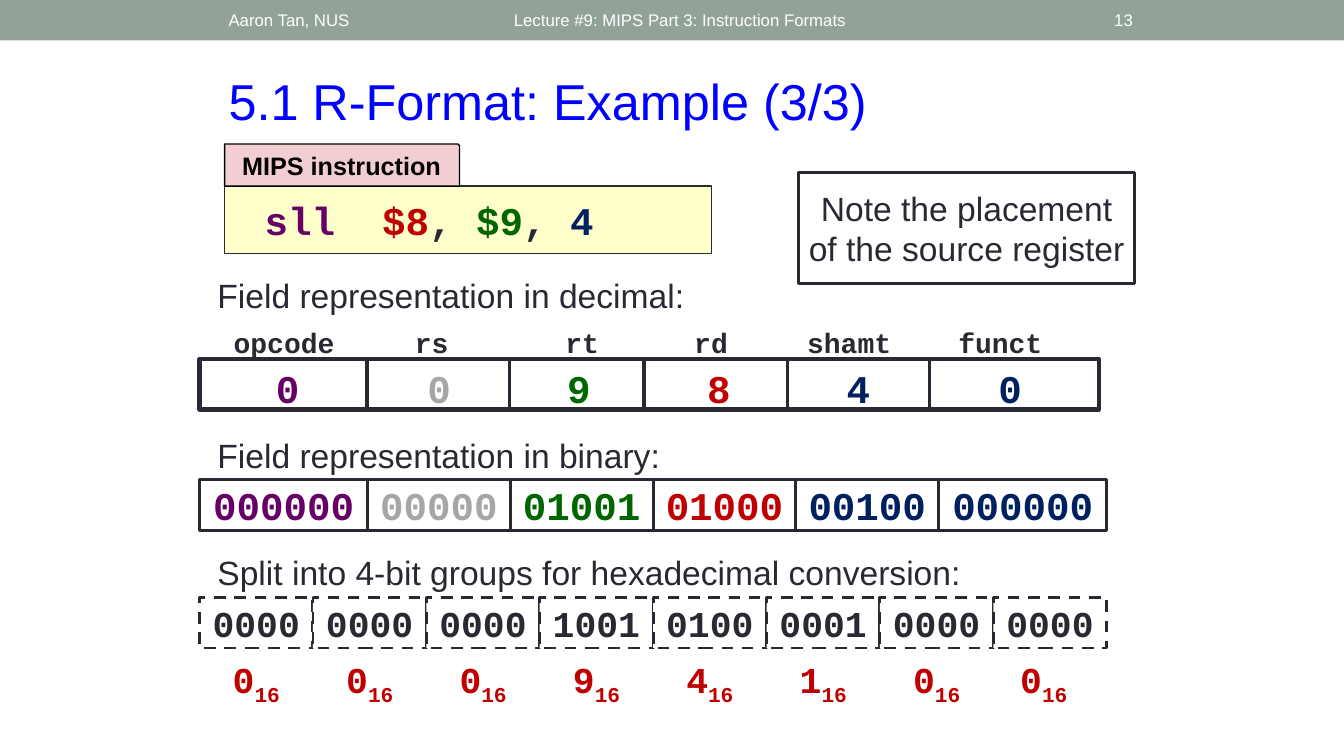
from itertools import accumulate

from lxml import etree
from pptx import Presentation
from pptx.dml.color import RGBColor
from pptx.enum.dml import MSO_LINE
from pptx.enum.shapes import MSO_CONNECTOR, MSO_SHAPE
from pptx.enum.text import MSO_ANCHOR, PP_ALIGN
from pptx.oxml.ns import qn
from pptx.util import Cm, Pt

INK, WHITE, RED = "292934", "FFFFFF", "C00000"
PURPLE, GREY, GREEN, NAVY = "660066", "A6A6A6", "006600", "002060"
FIELD_COLORS = [PURPLE, GREY, GREEN, RED, NAVY, NAVY]
SANS, MONO = "Arial", "Courier New"
LEFT, ROW_WIDTH, ROW_HEIGHT = 5.03, 22.86, 1.27


def color(value):
    """Turn a hex string into a colour."""
    return RGBColor.from_string(value)


def write(shape, spans, size, font=SANS, bold=False, align=PP_ALIGN.LEFT,
          anchor=MSO_ANCHOR.TOP, wrap=True):
    """Write (text, colour) spans as one paragraph and return its runs."""
    frame = shape.text_frame
    frame.word_wrap = wrap
    frame.vertical_anchor = anchor
    para = frame.paragraphs[0]
    para.alignment = align
    for text, ink in spans:
        span = para.add_run()
        span.text = text
        span.font.size, span.font.name, span.font.bold = Pt(size), font, bold
        span.font.color.rgb = color(ink)
    return para.runs


def add_text(page, box, text, size, ink=INK, **style):
    """Add a text box at box, given as left, top, width, height in cm."""
    shape = page.shapes.add_textbox(*map(Cm, box))
    write(shape, [(text, ink)], size, **style)


def add_panel(page, box, fill=None, line=None, weight=2.08, kind=MSO_SHAPE.RECTANGLE):
    """Add a flat shape with optional fill and outline."""
    shape = page.shapes.add_shape(kind, *map(Cm, box))
    shape.shadow.inherit = False
    if fill:
        shape.fill.solid()
        shape.fill.fore_color.rgb = color(fill)
    else:
        shape.fill.background()
    if line:
        shape.line.color.rgb = color(line)
        shape.line.width = Pt(weight)
    else:
        shape.line.fill.background()
    return shape


def add_header(page, box):
    """Draw the top bar with author, lecture and page number."""
    left, top, width, height = box
    add_panel(page, box, "93A299")
    items = [("Aaron Tan, NUS", 5.51, 8.05, PP_ALIGN.LEFT),
             ("Lecture #9: MIPS Part 3: Instruction Formats", 12.7, 15.24, PP_ALIGN.LEFT),
             ("13", 26.39, 2.41, PP_ALIGN.RIGHT)]
    for text, offset, span_width, align in items:
        add_text(page, (left + offset, top + 0.05, span_width, height - 0.1), text, 12,
                 WHITE, align=align, anchor=MSO_ANCHOR.MIDDLE)


def add_instruction(page, box):
    """Draw the tab and the instruction below it."""
    left, top, width, height = box
    tab_height = 1.06
    code = add_panel(page, (left, top + tab_height, width, height - tab_height),
                     "FFFFCC", INK, 1)
    spans = [("  ", PURPLE), ("sll  ", PURPLE), ("$8", RED), (", ", INK),
             ("$9", GREEN), (", ", INK), ("4", NAVY)]
    runs = write(code, spans, 28, MONO, True, anchor=MSO_ANCHOR.MIDDLE)
    runs[0].font.size = Pt(18)
    tab = add_panel(page, (left, top, 5.92, tab_height), "F2CED2", "000000", 1,
                    MSO_SHAPE.SNIP_1_RECTANGLE)
    tab.adjustments[0] = 0.037
    write(tab, [("MIPS instruction", "000000")], 18, bold=True,
          align=PP_ALIGN.CENTER, anchor=MSO_ANCHOR.MIDDLE)


def add_note(page, box):
    """Draw the boxed remark."""
    note = add_panel(page, box, WHITE, INK)
    note.text_frame.margin_left = note.text_frame.margin_right = Cm(0.2)
    write(note, [("Note the placement of the source register", INK)], 24,
          align=PP_ALIGN.CENTER, anchor=MSO_ANCHOR.MIDDLE)


def add_decimal_fields(page, box):
    """Draw the decimal row with field names above it."""
    left, top, width, height = box
    fields = [("opcode", 2.13, "0", 2.22), ("rs", 5.85, "0", 6.04),
              ("rt", 9.64, "9", 9.56), ("rd", 12.89, "8", 13.09),
              ("shamt", 16.37, "4", 16.6), ("funct", 20.18, "0", 20.43)]
    style = dict(font=MONO, bold=True, align=PP_ALIGN.CENTER, wrap=False)
    for (name, name_center, value, value_center), ink in zip(fields, FIELD_COLORS):
        add_text(page, (left + name_center - 2, top - 0.96, 4, 1.09), name, 20, **style)
        add_text(page, (left + value_center - 1, top, 2, 1.45), value, 28, ink, **style)
    add_panel(page, box, line=INK, weight=3)
    for offset in (4.22, 7.82, 11.2, 14.81, 18.39):
        x = Cm(left + offset)
        divider = page.shapes.add_connector(MSO_CONNECTOR.STRAIGHT, x, Cm(top),
                                            x, Cm(top + height))
        divider.line.color.rgb = color(INK)
        divider.line.width = Pt(2.25)
        etree.SubElement(divider.element.spPr, qn("a:effectLst"))


def add_cells(page, box, cells, shares, size, line=INK, dash=None):
    """Draw a row of cells that divide the width by their shares."""
    left, top, width, height = box
    unit = width / sum(shares)
    starts = accumulate(shares, initial=0)
    for spans, start, share in zip(cells, starts, shares):
        cell = add_panel(page, (left + start * unit, top, share * unit, height), WHITE, line)
        if dash:
            cell.line.dash_style = dash
        runs = write(cell, spans, size, MONO, True, PP_ALIGN.CENTER, MSO_ANCHOR.MIDDLE)
        for base in runs[1:]:
            base.font._element.set("baseline", "-25000")


def add_binary_fields(page, box):
    """Draw the six fields in binary."""
    values = ["000000", "00000", "01001", "01000", "00100", "000000"]
    cells = [[pair] for pair in zip(values, FIELD_COLORS)]
    add_cells(page, box, cells, [20, 17, 17, 17, 17, 20], 28)


def add_hex_groups(page, box):
    """Draw the 4-bit groups and their hexadecimal digits below."""
    left, top, width, height = box
    groups = ["0000", "0000", "0000", "1001", "0100", "0001", "0000", "0000"]
    shares = [1] * len(groups)
    add_cells(page, box, [[(group, INK)] for group in groups], shares, 26,
              dash=MSO_LINE.DASH)
    digits = [[(f"{int(group, 2):X}", RED), ("16", RED)] for group in groups]
    digits[-1][1] = ("16 ", RED)
    add_cells(page, (left, top + 1.48, width, height), digits, shares, 26, line=None)


def main():
    """Build the slide and save it."""
    deck = Presentation()
    deck.slide_width, deck.slide_height = Cm(33.87), Cm(19.05)
    page = deck.slides.add_slide(deck.slide_layouts[6])
    add_header(page, (0, 0, 33.87, 1.02))
    add_text(page, (5.51, 1.63, 22.86, 1.8), "5.1 R-Format: Example (3/3)", 36, "0000FF")
    captions = [("Field representation in decimal:", 6.81),
                ("Field representation in binary:", 10.83),
                ("Split into 4-bit groups for hexadecimal conversion:", 13.79)]
    for text, top in captions:
        add_text(page, (5.23, top, 20.32, ROW_HEIGHT), text, 24)
    add_decimal_fields(page, (LEFT, 9.05, 22.66, ROW_HEIGHT))
    add_binary_fields(page, (LEFT, 12.09, ROW_WIDTH, ROW_HEIGHT))
    add_hex_groups(page, (LEFT, 15.06, ROW_WIDTH, ROW_HEIGHT))
    add_note(page, (20.13, 4.35, 8.46, 2.79))
    add_instruction(page, (5.66, 3.63, 12.27, 2.76))
    deck.save("out.pptx")


if __name__ == "__main__":
    main()
